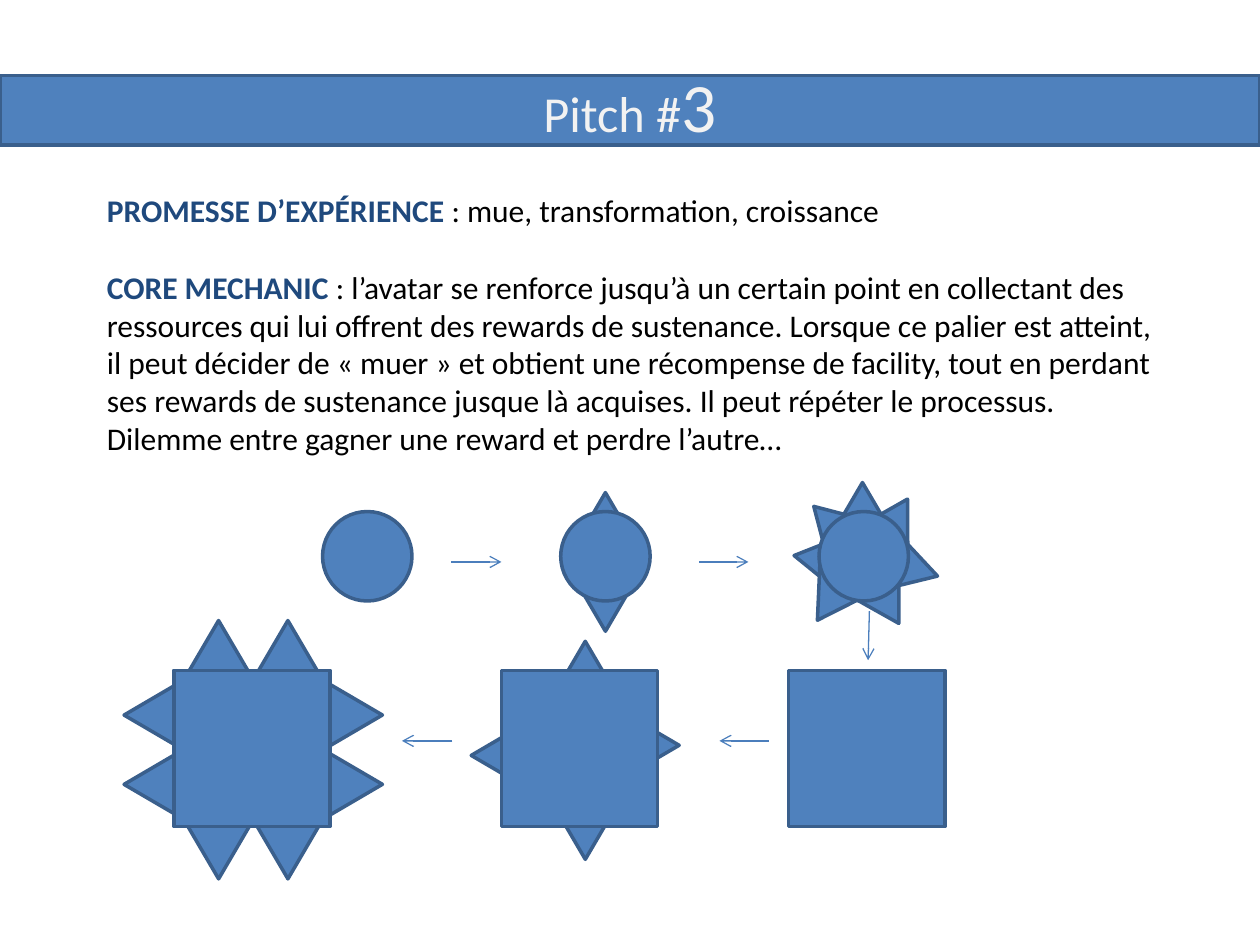
from dataclasses import dataclass
from math import cos, radians, sin

from lxml import etree
from pptx import Presentation
from pptx.dml.color import RGBColor
from pptx.enum.shapes import MSO_CONNECTOR, MSO_SHAPE
from pptx.enum.text import MSO_ANCHOR, MSO_AUTO_SIZE, PP_ALIGN
from pptx.oxml.ns import qn
from pptx.util import Inches, Pt

RECTANGLE, CIRCLE = MSO_SHAPE.RECTANGLE, MSO_SHAPE.OVAL
TRIANGLE = MSO_SHAPE.ISOSCELES_TRIANGLE
STRAIGHT = MSO_CONNECTOR.STRAIGHT


@dataclass(frozen=True)
class Theme:
    font: str = "Calibri"
    fill: RGBColor = RGBColor(0x4F, 0x81, 0xBD)
    outline: RGBColor = RGBColor(0x3A, 0x5F, 0x8C)
    arrow: RGBColor = RGBColor(0x4B, 0x7E, 0xBC)
    title: RGBColor = RGBColor(0xF2, 0xF2, 0xF2)
    heading: RGBColor = RGBColor(0x1F, 0x49, 0x7D)
    text: RGBColor = RGBColor(0, 0, 0)
    title_size: float = 28.8
    number_size: float = 39.6
    body_size: float = 18
    paragraph_gap: float = 22


theme = Theme()
presentation = Presentation()
presentation.slide_width, presentation.slide_height = Inches(10), Inches(7.5)
slide = presentation.slides.add_slide(presentation.slide_layouts[5])


def add_block(kind, left, top, width, height, rotation=0):
    shape = slide.shapes.add_shape(
        kind, Inches(left), Inches(top), Inches(width), Inches(height))
    shape.rotation = rotation
    shape.shadow.inherit = False
    shape.fill.solid()
    shape.fill.fore_color.rgb = theme.fill
    shape.line.color.rgb = theme.outline
    shape.line.width = Pt(2)
    return shape


def add_run(paragraph, text, size, color, bold=False):
    run = paragraph.add_run()
    run.text = text
    run.font.name = theme.font
    run.font.size = Pt(size)
    run.font.color.rgb = color
    run.font.bold = bold


# Title, in front of its band
title = slide.shapes.title
title.left, title.top = Inches(0.75), Inches(0.44)
title.width, title.height = Inches(8.5), Inches(0.79)
title.text_frame.auto_size = MSO_AUTO_SIZE.NONE
title.text_frame.vertical_anchor = MSO_ANCHOR.MIDDLE
title_paragraph = title.text_frame.paragraphs[0]
title_paragraph.alignment = PP_ALIGN.CENTER
add_run(title_paragraph, "Pitch #", theme.title_size, theme.title)
add_run(title_paragraph, "3", theme.number_size, theme.title)
band = add_block(RECTANGLE, 0, 0.6, 10, 0.55)
title.element.addprevious(band.element)

# Description
sections = [
    ("PROMESSE D’EXPÉRIENCE ", ": mue, transformation, croissance"),
    ("CORE MECHANIC ",
     ": l’avatar se renforce jusqu’à un certain point en collectant des "
     "ressources qui lui offrent des rewards de sustenance. Lorsque ce palier "
     "est atteint, il peut décider de « muer » et obtient une récompense de "
     "facility, tout en perdant ses rewards de sustenance jusque là acquises. "
     "Il peut répéter le processus. Dilemme entre gagner une reward et perdre "
     "l’autre…"),
]
description = slide.shapes.add_textbox(
    Inches(0.75), Inches(1.47), Inches(8.5), Inches(2.28)).text_frame
description.word_wrap = True
for index, (heading, text) in enumerate(sections):
    paragraph = description.add_paragraph() if index else description.paragraphs[0]
    paragraph.space_before = Pt(theme.paragraph_gap if index else 0)
    add_run(paragraph, heading, theme.body_size, theme.heading, bold=True)
    add_run(paragraph, text, theme.body_size, theme.text)

# Avatar stages: body kind, left, top, size, then spikes as (left, top, rotation)
SPIKE_WIDTH, SPIKE_HEIGHT = 0.55, 0.47
CIRCLE_TOP, CIRCLE_SIZE = 4.06, 0.71
SQUARE_TOP, SQUARE_SIZE = 5.32, 1.24

# Two spikes side by side on each side of the last square
center_x, center_y, reach = 2.01, 5.95, 0.79
paired_spikes = []
for rotation in (0, 90, 180, 270):
    sine, cosine = sin(radians(rotation)), cos(radians(rotation))
    for offset in (-SPIKE_WIDTH / 2, SPIKE_WIDTH / 2):
        paired_spikes.append((
            center_x + reach * sine + offset * cosine - SPIKE_WIDTH / 2,
            center_y - reach * cosine + offset * sine - SPIKE_HEIGHT / 2,
            rotation))

stages = [
    (CIRCLE, 2.56, CIRCLE_TOP, CIRCLE_SIZE, []),
    (CIRCLE, 4.45, CIRCLE_TOP, CIRCLE_SIZE, [(4.53, 3.91, 0), (4.53, 4.54, 180)]),
    (CIRCLE, 6.5, CIRCLE_TOP, CIRCLE_SIZE, [
        (6.57, 3.83, 0), (6.81, 3.93, 30), (6.35, 3.95, 315), (6.26, 4.21, 278.8),
        (6.94, 4.27, 106.6), (6.74, 4.51, 149.7), (6.34, 4.49, 212.9)]),
    (RECTANGLE, 6.26, SQUARE_TOP, SQUARE_SIZE, []),
    (RECTANGLE, 3.98, SQUARE_TOP, SQUARE_SIZE, [
        (4.37, 5.09, 0), (4.37, 6.35, 180), (4.88, 5.68, 90), (3.7, 5.76, 270)]),
    (RECTANGLE, 1.38, SQUARE_TOP, SQUARE_SIZE, paired_spikes),
]
for kind, left, top, size, spikes in stages:
    for spike_left, spike_top, rotation in spikes:
        add_block(TRIANGLE, spike_left, spike_top, SPIKE_WIDTH, SPIKE_HEIGHT, rotation)
    add_block(kind, left, top, size, size)

# Arrows from stage to stage
arrows = [
    (3.58, 4.46, 3.98, 4.46),
    (5.55, 4.46, 5.94, 4.46),
    (6.9, 4.85, 6.89, 5.24),
    (6.1, 5.88, 5.71, 5.88),
    (3.59, 5.88, 3.19, 5.88),
]
for ends in arrows:
    arrow = slide.shapes.add_connector(STRAIGHT, *map(Inches, ends))
    arrow.line.color.rgb = theme.arrow
    arrow.line.width = Pt(0.75)
    properties = arrow.element.spPr
    etree.SubElement(properties.find(qn("a:ln")), qn("a:tailEnd"), type="arrow")
    etree.SubElement(properties, qn("a:effectLst"))

presentation.save("out.pptx")
